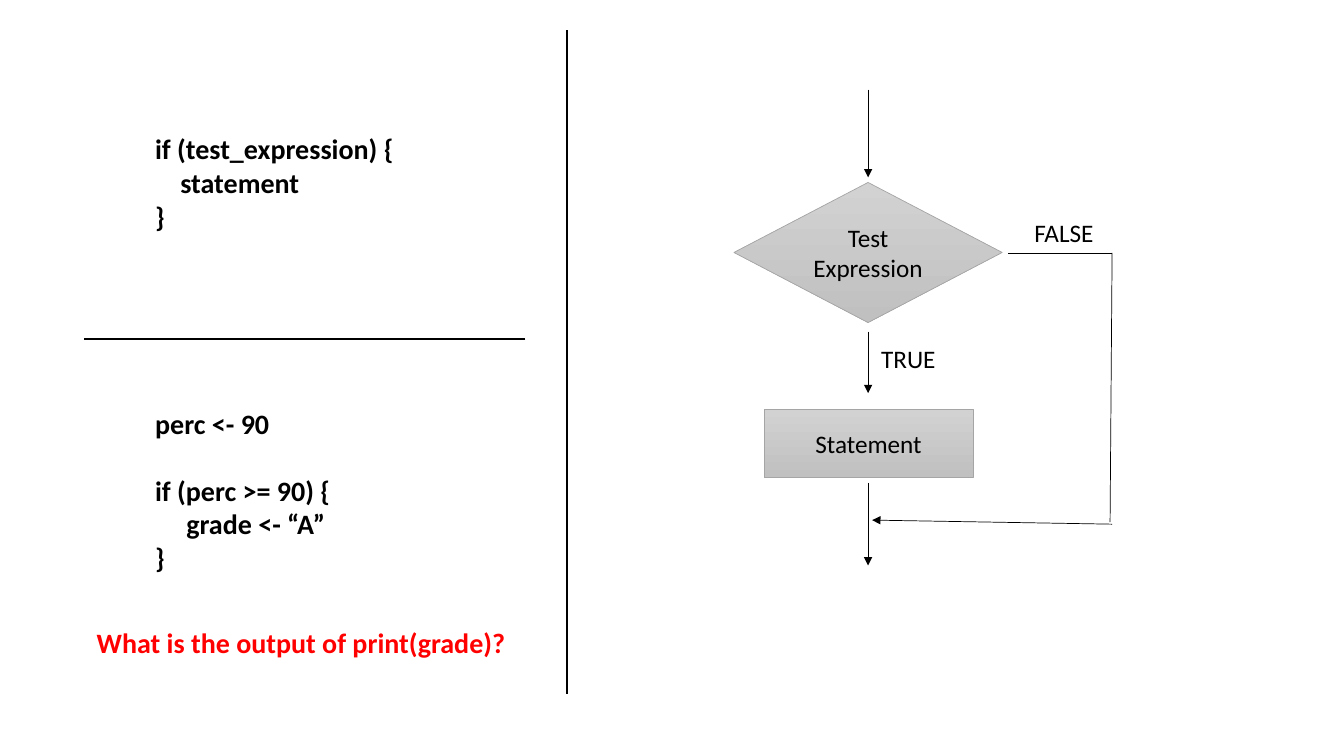
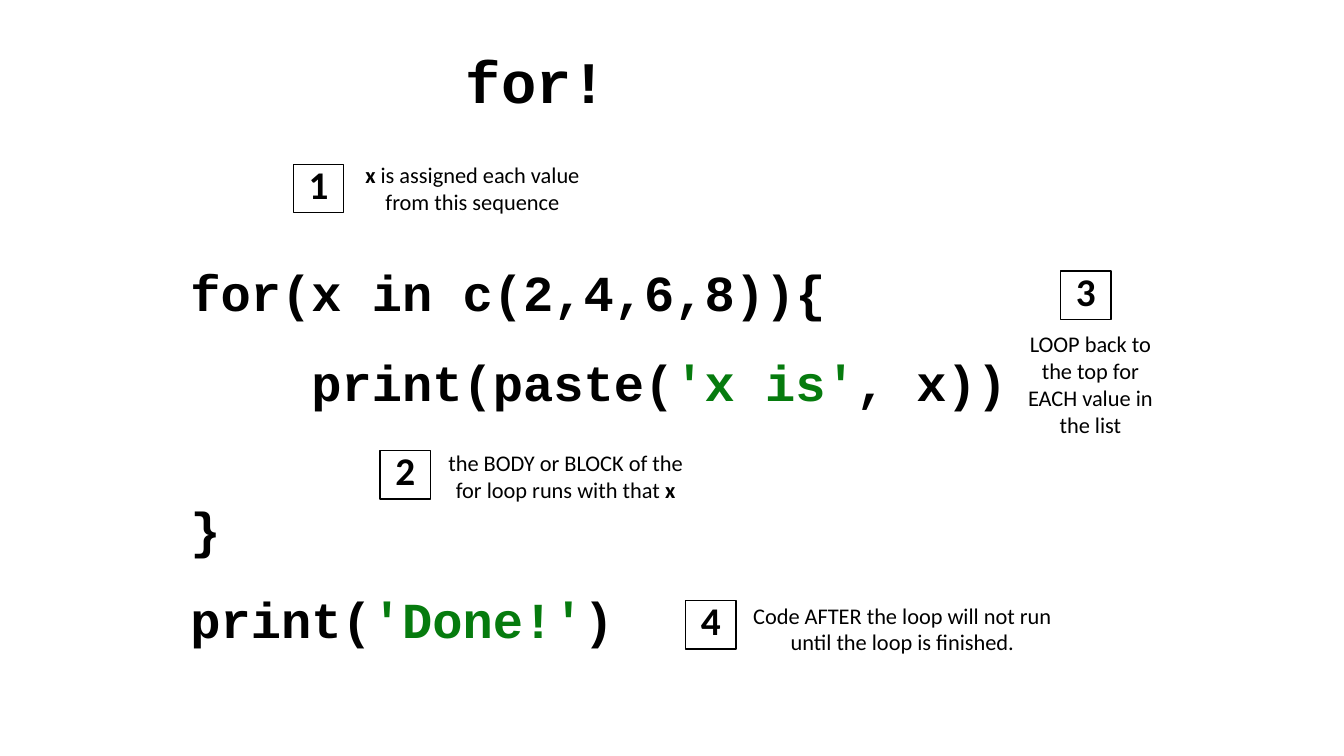
from dataclasses import dataclass

from lxml import etree
from pptx import Presentation
from pptx.dml.color import RGBColor
from pptx.enum.shapes import MSO_CONNECTOR, MSO_SHAPE
from pptx.enum.text import MSO_ANCHOR, MSO_AUTO_SIZE, PP_ALIGN
from pptx.oxml.ns import qn
from pptx.util import Inches, Pt

BLACK = RGBColor(0x00, 0x00, 0x00)
WHITE = RGBColor(0xFF, 0xFF, 0xFF)
RED = RGBColor(0xFF, 0x00, 0x00)
GREEN = RGBColor(0x06, 0x7B, 0x0E)
GRAY_EDGE = RGBColor(0xA5, 0xA5, 0xA5)
GRAY_TOP = RGBColor(0xD2, 0xD2, 0xD2)
GRAY_BOTTOM = RGBColor(0xC0, 0xC0, 0xC0)

LEFT = PP_ALIGN.LEFT
CENTER = PP_ALIGN.CENTER
MIDDLE = MSO_ANCHOR.MIDDLE
FIT_SHAPE = MSO_AUTO_SIZE.SHAPE_TO_FIT_TEXT
STRAIGHT = MSO_CONNECTOR.STRAIGHT
RECTANGLE = MSO_SHAPE.RECTANGLE
DIAMOND = MSO_SHAPE.DIAMOND

BADGE_WIDTH, BADGE_HEIGHT = 0.5, 0.48
FLOW_X = 8.61
BYPASS_X = 11.03
DECISION_Y = 2.51


@dataclass
class Style:
    size: float
    name: str = "Calibri"
    bold: bool = False
    color: RGBColor = BLACK
    align: PP_ALIGN = LEFT
    line_spacing: float = None


@dataclass
class Span:
    text: str
    bold: bool = None
    color: RGBColor = None


@dataclass
class Line:
    spans: list
    indent: float = 0
    space_before: float = 0


SNIPPET = Style(20, bold=True)
QUESTION = Style(20, bold=True, color=RED)
FLOW_LABEL = Style(18)
FLOW_NODE = Style(18, align=CENTER)
TITLE = Style(42, "Courier New", bold=True, align=CENTER)
CODE = Style(36, "Courier New", bold=True)
NOTE = Style(16, align=CENTER)
BADGE = Style(28, bold=True, align=CENTER, line_spacing=27)


def plain(text, indent=0, space_before=0):
    return Line([Span(text)], indent, space_before)


def fill_text(frame, lines, style):
    for index, line in enumerate(lines):
        para = frame.add_paragraph() if index else frame.paragraphs[0]
        para.alignment = style.align
        para.font.name = style.name
        para.font.size = Pt(style.size)
        para.font.bold = style.bold
        para.font.color.rgb = style.color
        if style.line_spacing:
            para.line_spacing = Pt(style.line_spacing)
        if line.space_before:
            para.space_before = Pt(line.space_before)
        if line.indent:
            properties = para._p.get_or_add_pPr()
            properties.set("marL", str(Inches(line.indent)))
            properties.set("indent", "0")
        for span in line.spans:
            run = para.add_run()
            run.text = span.text
            if span.bold is not None:
                run.font.bold = span.bold
            if span.color is not None:
                run.font.color.rgb = span.color


def add_text(page, left, top, width, height, lines, style, wrap=True):
    box = page.shapes.add_textbox(
        Inches(left), Inches(top), Inches(width), Inches(height))
    box.text_frame.word_wrap = wrap
    box.text_frame.auto_size = FIT_SHAPE
    fill_text(box.text_frame, lines, style)


def add_box(page, kind, left, top, width, height, text, style, edge, weight):
    shape = page.shapes.add_shape(
        kind, Inches(left), Inches(top), Inches(width), Inches(height))
    shape.shadow.inherit = False
    shape.line.color.rgb = edge
    shape.line.width = Pt(weight)
    shape.text_frame.word_wrap = True
    shape.text_frame.vertical_anchor = MIDDLE
    fill_text(shape.text_frame, [plain(text)], style)
    return shape


def add_flow_node(page, kind, left, top, width, height, text):
    node = add_box(page, kind, left, top, width, height, text,
                   FLOW_NODE, GRAY_EDGE, 0.5)
    node.fill.gradient()
    node.fill.gradient_angle = 270
    for stop, color in zip(node.fill.gradient_stops, (GRAY_TOP, GRAY_BOTTOM)):
        stop.color.rgb = color


def add_badge(page, left, top, number):
    badge = add_box(page, RECTANGLE, left, top, BADGE_WIDTH, BADGE_HEIGHT,
                    str(number), BADGE, BLACK, 1)
    badge.fill.solid()
    badge.fill.fore_color.rgb = WHITE


def add_line(page, start, end, weight=0.5, arrow=False):
    x1, y1 = start
    x2, y2 = end
    line = page.shapes.add_connector(
        STRAIGHT, Inches(x1), Inches(y1), Inches(x2), Inches(y2))
    line.line.color.rgb = BLACK
    line.line.width = Pt(weight)
    if arrow:
        outline = line.line._get_or_add_ln()
        etree.SubElement(outline, qn("a:tailEnd"), type="triangle")
    etree.SubElement(line._element.spPr, qn("a:effectLst"))


def build_if_slide(page):
    add_text(page, 1.44, 1.26, 3.09, 1.11, [
        plain("if (test_expression) {"),
        plain("statement", indent=0.25),
        plain("}"),
    ], SNIPPET)
    add_text(page, 1.44, 3.98, 3.09, 1.78, [
        plain("perc <- 90"),
        plain("if (perc >= 90) {", space_before=24),
        plain("grade <- “A”", indent=0.31),
        plain("}"),
    ], SNIPPET)
    add_text(page, 0.86, 6.16, 4.32, 0.44,
             [plain("What is the output of print(grade)?")], QUESTION)

    add_line(page, (5.62, 0.3), (5.62, 6.89), weight=1.5)
    add_line(page, (5.21, 3.36), (0.83, 3.36), weight=1.5)

    add_flow_node(page, RECTANGLE, 7.58, 4.06, 2.07, 0.68, "Statement")
    add_flow_node(page, DIAMOND, 7.28, 1.81, 2.66, 1.39, "Test Expression")
    for start_y, end_y in ((0.89, 1.76), (3.29, 3.9), (4.79, 5.61)):
        add_line(page, (FLOW_X, start_y), (FLOW_X, end_y), arrow=True)
    add_line(page, (10, DECISION_Y), (BYPASS_X, DECISION_Y))
    add_line(page, (11.01, 5.18), (BYPASS_X, DECISION_Y))
    add_line(page, (BYPASS_X, 5.2), (8.65, 5.16), arrow=True)
    add_text(page, 8.64, 3.36, 0.75, 0.4, [plain("TRUE")], FLOW_LABEL, wrap=False)
    add_text(page, 10.16, 2.11, 0.79, 0.4, [plain("FALSE")], FLOW_LABEL, wrap=False)


def build_for_slide(page):
    add_text(page, 4.07, 0.39, 2.5, 0.8, [plain("for!")], TITLE)
    add_text(page, 1.79, 2.54, 9.16, 4.04, [
        plain("for(x in c(2,4,6,8)){"),
        Line([Span("print(paste("), Span("'x is'", color=GREEN), Span(", x))")],
             indent=1.2, space_before=21),
        plain("}", space_before=62),
        Line([Span("print("), Span("'Done!'", color=GREEN), Span(")")],
             space_before=21),
    ], CODE)

    variable = Span("x", bold=True)
    notes = [
        (3.34, 1.55, 2.69, 0.64,
         [variable, Span(" is assigned each value from this sequence")]),
        (4.2, 4.41, 2.82, 0.64,
         [Span("the BODY or BLOCK of the for loop runs with that "), variable]),
        (10, 3.23, 1.63, 1.18,
         [Span("LOOP back to the top for EACH value in the list")]),
        (7.17, 5.92, 3.56, 0.64,
         [Span("Code AFTER the loop will not run until the loop is finished.")]),
    ]
    for left, top, width, height, spans in notes:
        add_text(page, left, top, width, height, [Line(spans)], NOTE)

    badge_places = [(2.91, 1.63), (3.77, 4.47), (10.52, 2.69), (6.8, 5.96)]
    for number, (left, top) in enumerate(badge_places, start=1):
        add_badge(page, left, top, number)


def main():
    deck = Presentation()
    deck.slide_width = Inches(13.33)
    deck.slide_height = Inches(7.5)
    blank = deck.slide_layouts[6]
    for build in (build_if_slide, build_for_slide):
        build(deck.slides.add_slide(blank))
    deck.save("out.pptx")


main()
